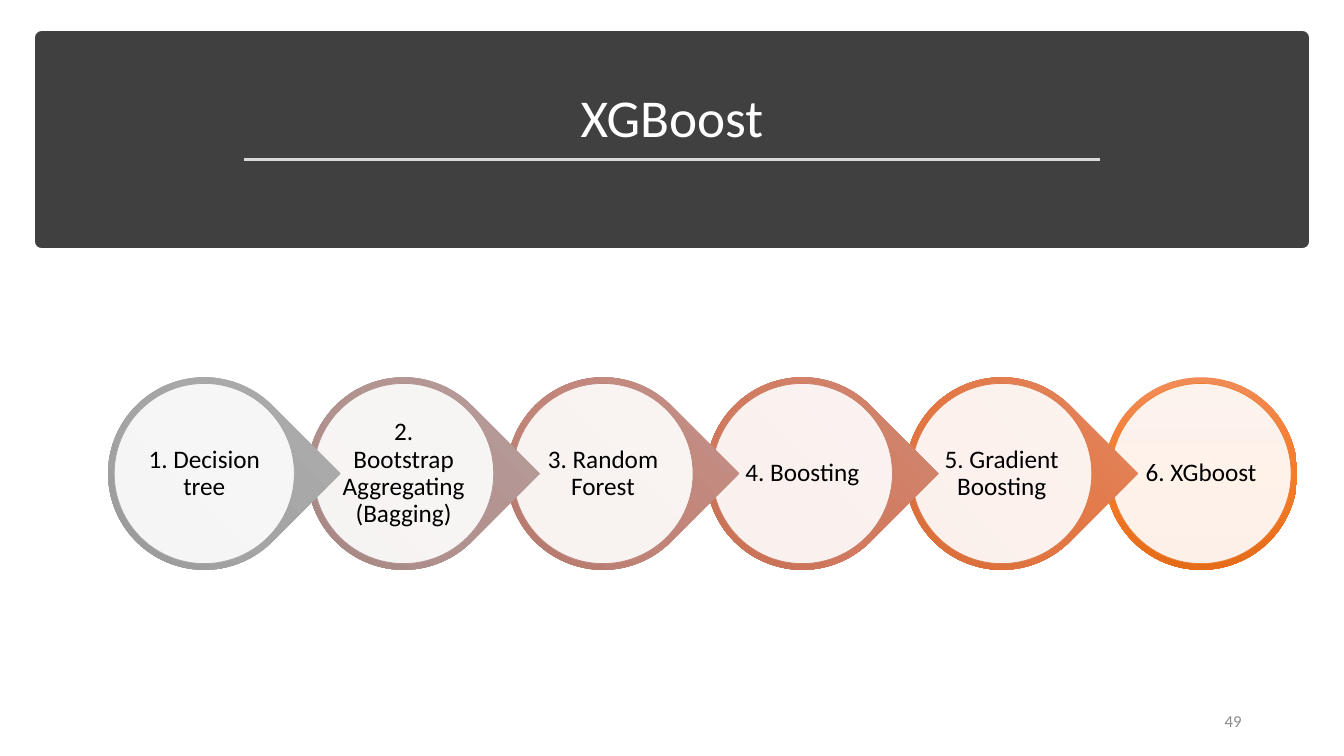
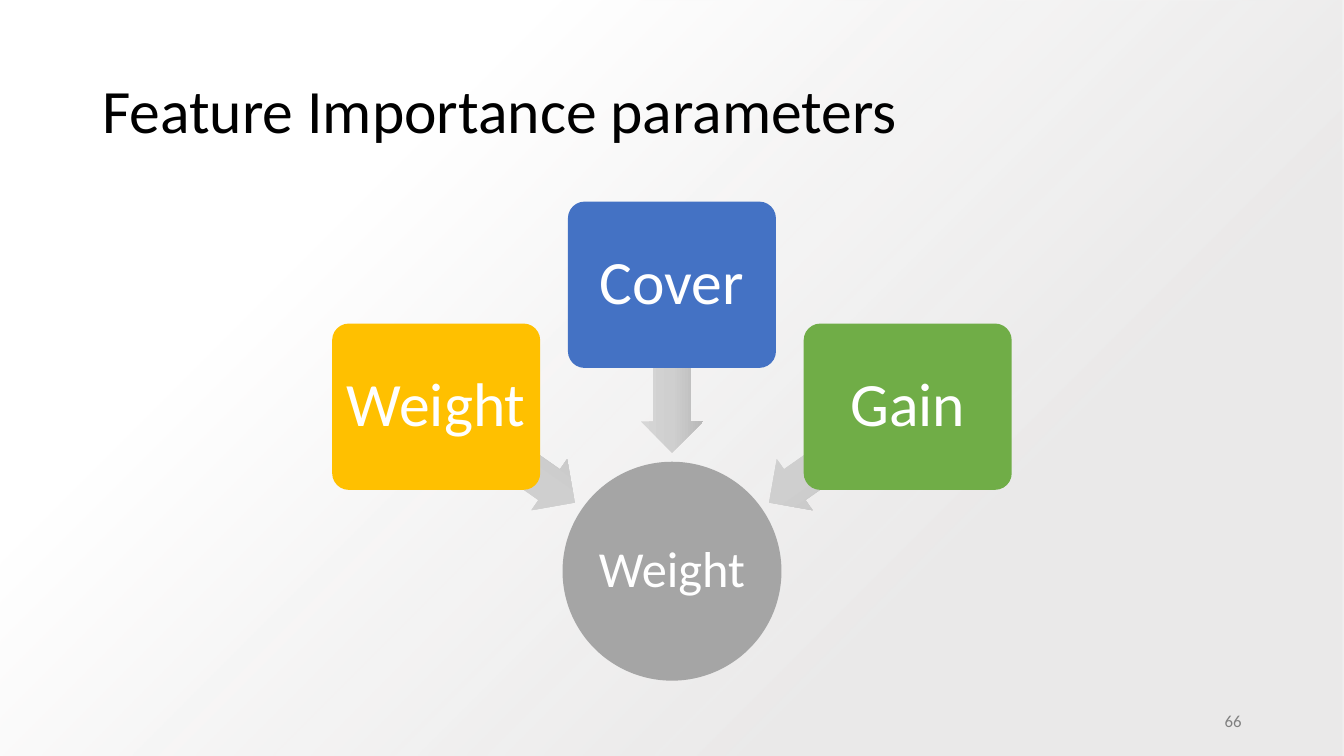
from lxml import etree
from pptx import Presentation
from pptx.dml.color import RGBColor
from pptx.enum.shapes import MSO_CONNECTOR, MSO_SHAPE
from pptx.enum.text import MSO_ANCHOR, PP_ALIGN
from pptx.oxml import parse_xml
from pptx.oxml.ns import nsdecls, qn
from pptx.util import Pt

RECT, ROUND_RECT = MSO_SHAPE.RECTANGLE, MSO_SHAPE.ROUNDED_RECTANGLE
OVAL, TEAR, LEFT_ARROW = MSO_SHAPE.OVAL, MSO_SHAPE.TEAR, MSO_SHAPE.LEFT_ARROW
STRAIGHT = MSO_CONNECTOR.STRAIGHT
LEFT, CENTER, RIGHT = PP_ALIGN.LEFT, PP_ALIGN.CENTER, PP_ALIGN.RIGHT
MIDDLE, BOTTOM = MSO_ANCHOR.MIDDLE, MSO_ANCHOR.BOTTOM

# Shared look
WIDTH, HEIGHT = 960, 540
FONT = "Calibri"
BLACK = RGBColor(0x00, 0x00, 0x00)
WHITE = RGBColor(0xFF, 0xFF, 0xFF)
BAND = RGBColor(0x40, 0x40, 0x40)
RULE = RGBColor(0xD9, 0xD9, 0xD9)
NUMBER_LIGHT = RGBColor(0x8C, 0x8C, 0x8C)
NUMBER_DARK = RGBColor(0x80, 0x80, 0x80)
GRAY = RGBColor(0xA5, 0xA5, 0xA5)
GOLD = RGBColor(0xFF, 0xC0, 0x00)
BLUE = RGBColor(0x44, 0x72, 0xC4)
GREEN = RGBColor(0x70, 0xAD, 0x47)

# Gradient stops: position, colour, opacity (all but colour in percent)
BACKDROP = [(28, "E7E6E6", 84), (74, "FFFFFF", 100)]
ARROW_COLORS = ("D6D6D6", "CFCFCF", "B8B8B8")

# Steps: label, ring gradient, outline of the inner disc
STEPS = [
    ("1. Decision tree", ("AFAFAF", "A5A5A5", "939393"), "A5A5A5"),
    ("2. Bootstrap Aggregating (Bagging)", ("B9A09D", "B2928F", "A0807D"), "B09391"),
    ("3. Random Forest", ("C5948B", "C18478", "AF7267"), "BD867B"),
    ("4. Boosting", ("D28C78", "D17A5F", "C06A4E"), "CC7D64"),
    ("5. Gradient Boosting", ("E18A66", "E37744", "D26734"), "DC7A4B"),
    ("6. XGboost", ("F18C57", "F67B28", "E56C19"), "ED7D31"),
]

# Cards: label, colour, card centre, arrow centre, arrow rotation
CARDS = [
    ("Weight", GOLD, (311.6, 290.5), (361.6, 324.7), 215),
    ("Cover", BLUE, (480, 203.4), (480, 263.5), 270),
    ("Gain", GREEN, (648.4, 290.5), (598.4, 324.7), 325),
]


def add_shape(s, kind, x, y, w, h, fill=None, line=None, line_width=0.5):
    """Add a preset shape without shadow."""
    sp = s.shapes.add_shape(kind, Pt(x), Pt(y), Pt(w), Pt(h))
    sp.shadow.inherit = False
    if fill is not None:
        sp.fill.solid()
        sp.fill.fore_color.rgb = fill
    if line is None:
        sp.line.fill.background()
    else:
        sp.line.color.rgb = line
        sp.line.width = Pt(line_width)
    return sp


def set_gradient(sp, stops, direction):
    """Fill a shape with gradient stops and a direction element."""
    gs = "".join(
        f'<a:gs pos="{pos * 1000}"><a:srgbClr val="{color}">'
        f'<a:alpha val="{opacity * 1000}"/></a:srgbClr></a:gs>'
        for pos, color, opacity in stops)
    fill = parse_xml(f'<a:gradFill {nsdecls("a")} rotWithShape="1">'
                     f'<a:gsLst>{gs}</a:gsLst>{direction}</a:gradFill>')
    sp._element.spPr.find(qn("a:prstGeom")).addnext(fill)


def set_vertical_gradient(sp, colors):
    stops = [(pos, color, 100) for pos, color in zip((0, 50, 100), colors)]
    set_gradient(sp, stops, '<a:lin ang="5400000" scaled="0"/>')


def set_opacity(sp, percent):
    color = sp._element.spPr.find(qn("a:solidFill"))[0]
    etree.SubElement(color, qn("a:alpha")).set("val", str(percent * 1000))


def set_text(sp, text, size, color, align=CENTER, anchor=MIDDLE,
             inset=(7.2, 3.6), spacing=0.9):
    """Write one formatted paragraph into a shape or text box."""
    tf = sp.text_frame
    dx, dy = (Pt(v) for v in inset)
    frame = {"word_wrap": True, "vertical_anchor": anchor, "margin_left": dx,
             "margin_right": dx, "margin_top": dy, "margin_bottom": dy}
    for name, value in frame.items():
        setattr(tf, name, value)
    p = tf.paragraphs[0]
    p.alignment, p.line_spacing = align, spacing
    r = p.add_run()
    r.text = text
    for name, value in {"name": FONT, "size": Pt(size)}.items():
        setattr(r.font, name, value)
    r.font.color.rgb = color


def add_text(s, x, y, w, h, *args, **kwargs):
    box = s.shapes.add_textbox(Pt(x), Pt(y), Pt(w), Pt(h))
    set_text(box, *args, **kwargs)


def add_number(s, number, color):
    add_text(s, 678, 500.4, 216, 28.8, number, 12, color, align=RIGHT, spacing=1)


def add_rule(s, x1, x2, y):
    line = s.shapes.add_connector(STRAIGHT, Pt(x1), Pt(y), Pt(x2), Pt(y))
    line.line.color.rgb = RULE
    line.line.width = Pt(1.75)
    etree.SubElement(line._element.spPr, qn("a:effectLst"))


def add_step(s, index, label, colors, outline):
    """Ring pointing to the next step, with a pale labelled disc in it."""
    size, border = 137.5, 4.4
    x, y = 77.2 + index * 142.4, 269.5
    is_last = index == len(STEPS) - 1
    ring = add_shape(s, OVAL if is_last else TEAR, x, y, size, size)
    set_vertical_gradient(ring, colors)
    if not is_last:
        ring.rotation = 45
    inner = size - 2 * border
    disc = add_shape(s, OVAL, x + border, y + border, inner, inner,
                     WHITE, RGBColor.from_string(outline))
    set_opacity(disc, 90)
    set_text(disc, label, 18, BLACK, inset=(1.5, 1.5))


def add_card(s, label, color, card_center, arrow_center, rotation):
    """Rounded card on top of the arrow that leads from it."""
    w, h = 119.6, 44.6
    cx, cy = arrow_center
    arrow = add_shape(s, LEFT_ARROW, cx - w / 2, cy - h / 2, w, h)
    arrow.adjustments[0] = 0.6
    arrow.rotation = rotation
    set_vertical_gradient(arrow, ARROW_COLORS)
    w, h = 148.6, 118.8
    cx, cy = card_center
    card = add_shape(s, ROUND_RECT, cx - w / 2, cy - h / 2, w, h, color)
    card.adjustments[0] = 0.1
    set_text(card, label, 44, WHITE, inset=(5.5, 5.5))


def build_steps_slide(s):
    # Title band
    add_shape(s, RECT, 29.7, 27.2, 900.6, 145.2, BAND, BAND, 10)
    add_text(s, 41.5, 36.7, 877, 73.4, "XGBoost", 38, WHITE, anchor=BOTTOM)
    add_rule(s, 174, 786, 113.8)
    add_number(s, "49", NUMBER_LIGHT)
    # Chain, last step at the back so that each tip overlaps its neighbour
    for index, step in reversed(list(enumerate(STEPS))):
        add_step(s, index, *step)


def build_parameters_slide(s):
    # Backdrop shaded from the lower right corner
    backdrop = add_shape(s, RECT, 0, 0, WIDTH, HEIGHT)
    set_gradient(backdrop, BACKDROP, '<a:path path="circle">'
                 '<a:fillToRect l="100000" t="100000"/></a:path>')
    add_text(s, 66, 28.8, 828, 104.4, "Feature Importance parameters", 44,
             BLACK, align=LEFT)
    add_number(s, "66", NUMBER_DARK)
    # Hub and the cards that lead to it
    hub = add_shape(s, OVAL, 401.8, 329.8, 156.4, 156.4, GRAY)
    set_text(hub, "Weight", 36, WHITE, inset=(2, 2))
    for card in CARDS:
        add_card(s, *card)


def main():
    prs = Presentation()
    prs.slide_width, prs.slide_height = Pt(WIDTH), Pt(HEIGHT)
    for build in (build_steps_slide, build_parameters_slide):
        build(prs.slides.add_slide(prs.slide_layouts[6]))
    prs.save("out.pptx")


if __name__ == "__main__":
    main()
